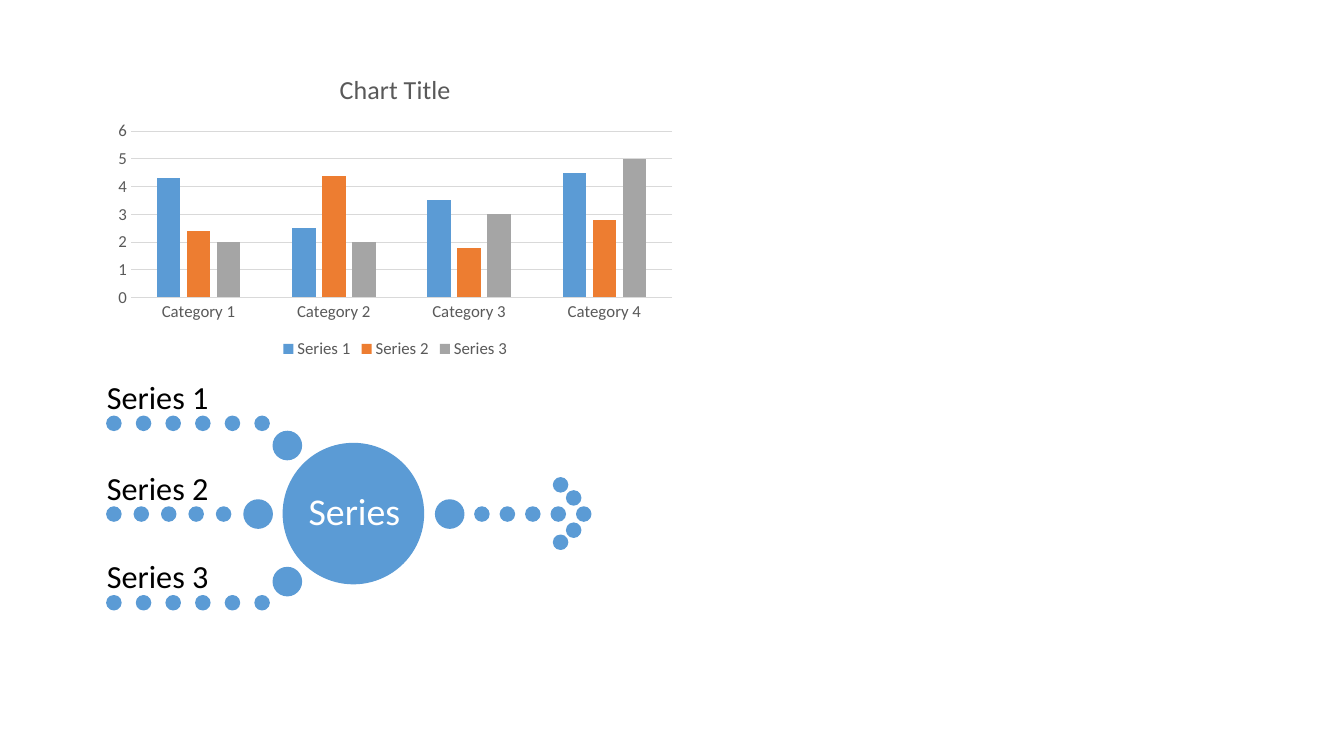
from pptx import Presentation
from pptx.chart.data import CategoryChartData
from pptx.dml.color import RGBColor
from pptx.enum import chart as charts, shapes, text
from pptx.util import Inches, Pt

BLUE = RGBColor(0x5B, 0x9B, 0xD5)
ORANGE = RGBColor(0xED, 0x7D, 0x31)
SILVER = RGBColor(0xA5, 0xA5, 0xA5)
GRAY = RGBColor(0x59, 0x59, 0x59)
RULE = RGBColor(0xD9, 0xD9, 0xD9)
BLACK = RGBColor(0, 0, 0)
WHITE = RGBColor(0xFF, 0xFF, 0xFF)
FONT = "Calibri"

TITLE = "Chart Title"
CATEGORIES = ["Category 1", "Category 2", "Category 3", "Category 4"]
SERIES = [
    ("Series 1", (4.3, 2.5, 3.5, 4.5), BLUE),
    ("Series 2", (2.4, 4.4, 1.8, 2.8), ORANGE),
    ("Series 3", (2, 2, 3, 5), SILVER),
]

HUB = "Series"
LEFT = 1.06
DOT, JOINT, CORE = 0.14, 0.28, 1.39
LABEL_HEIGHT = 0.35
# label, label width, dot top, dot count, dot pitch, joint left, joint top
BRANCHES = [
    ("Series 1", 1.61, 4.13, 6, 0.294, 2.71, 4.28),
    ("Series 2", 1.22, 5.03, 5, 0.272, 2.42, 4.96),
    ("Series 3", 1.61, 5.91, 6, 0.294, 2.71, 5.63),
]
ARROW_LEFT, ARROW_TOP, ARROW_COUNT, ARROW_PITCH = 4.71, 5.03, 5, 0.2525
ARROW_BARBS = [(5.49, 4.74), (5.62, 4.87), (5.62, 5.19), (5.49, 5.31)]


def style_font(font, size, color):
    font.name = FONT
    font.size = Pt(size)
    font.bold = False
    font.color.rgb = color


def add_columns(page):
    data = CategoryChartData()
    data.categories = CATEGORIES
    for name, values, _ in SERIES:
        data.add_series(name, values)
    chart = page.shapes.add_chart(
        charts.XL_CHART_TYPE.COLUMN_CLUSTERED,
        Inches(LEFT), Inches(0.55), Inches(5.72), Inches(3.05), data,
    ).chart
    style_font(chart.font, 12, GRAY)

    chart.has_title = True
    span = chart.chart_title.text_frame.paragraphs[0].add_run()
    span.text = TITLE
    style_font(span.font, 18.6, GRAY)

    chart.has_legend = True
    chart.legend.position = charts.XL_LEGEND_POSITION.BOTTOM
    chart.legend.include_in_layout = False
    style_font(chart.legend.font, 12, GRAY)

    for axis in (chart.category_axis, chart.value_axis):
        axis.major_tick_mark = charts.XL_TICK_MARK.NONE
        axis.minor_tick_mark = charts.XL_TICK_MARK.NONE
        style_font(axis.tick_labels.font, 12, GRAY)
    chart.value_axis.format.line.fill.background()
    chart.value_axis.has_major_gridlines = True
    for line in (chart.category_axis.format.line,
                 chart.value_axis.major_gridlines.format.line):
        line.color.rgb = RULE
        line.width = Pt(0.75)

    plot = chart.plots[0]
    plot.gap_width = 219
    plot.overlap = -27
    plot.vary_by_categories = False
    for series, (_, _, color) in zip(plot.series, SERIES):
        series.format.fill.solid()
        series.format.fill.fore_color.rgb = color


def add_circle(page, left, top, size):
    circle = page.shapes.add_shape(
        shapes.MSO_SHAPE.OVAL,
        Inches(left), Inches(top), Inches(size), Inches(size))
    circle.shadow.inherit = False
    circle.fill.solid()
    circle.fill.fore_color.rgb = BLUE
    circle.line.color.rgb = BLUE
    circle.line.width = Pt(1)


def add_dots(page, left, top, count, pitch):
    for step in range(count):
        add_circle(page, left + step * pitch, top, DOT)


def add_label(page, words, at, size, color, anchor, align, inset):
    box = page.shapes.add_textbox(*map(Inches, at))
    frame = box.text_frame
    frame.word_wrap = True
    frame.vertical_anchor = anchor
    frame.margin_left = frame.margin_right = Inches(inset)
    frame.margin_top = frame.margin_bottom = Inches(inset)
    para = frame.paragraphs[0]
    para.alignment = align
    para.line_spacing = 0.9
    span = para.add_run()
    span.text = words
    style_font(span.font, size, color)


def add_diagram(page):
    add_dots(page, ARROW_LEFT, ARROW_TOP, ARROW_COUNT, ARROW_PITCH)
    add_circle(page, 4.32, 4.96, JOINT)
    for left, top in ARROW_BARBS:
        add_circle(page, left, top, DOT)

    add_circle(page, 2.81, 4.4, CORE)
    add_label(page, HUB, (3.02, 4.6, 0.99, 0.99), 27, WHITE,
              text.MSO_ANCHOR.MIDDLE, text.PP_ALIGN.CENTER, 0.04)

    for name, width, top, count, pitch, joint_left, joint_top in BRANCHES:
        add_circle(page, joint_left, joint_top, JOINT)
        add_dots(page, LEFT, top, count, pitch)
        add_label(page, name, (LEFT, top - LABEL_HEIGHT, width, LABEL_HEIGHT),
                  23, BLACK, text.MSO_ANCHOR.BOTTOM, text.PP_ALIGN.LEFT, 0)


def main():
    deck = Presentation()
    deck.slide_width = Inches(13.33)
    deck.slide_height = Inches(7.5)
    page = deck.slides.add_slide(deck.slide_layouts[6])
    add_columns(page)
    add_diagram(page)
    deck.save("out.pptx")


if __name__ == "__main__":
    main()
